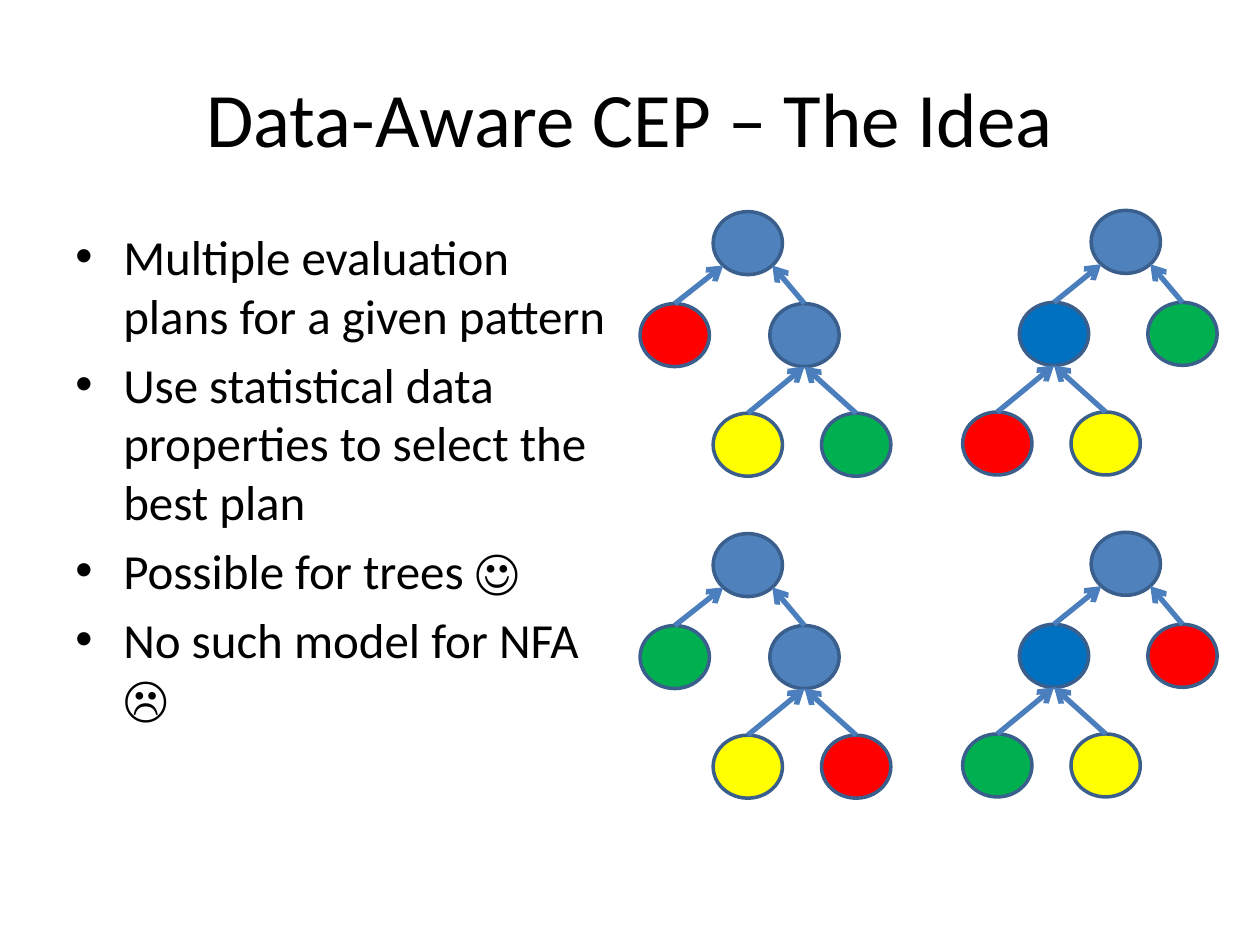
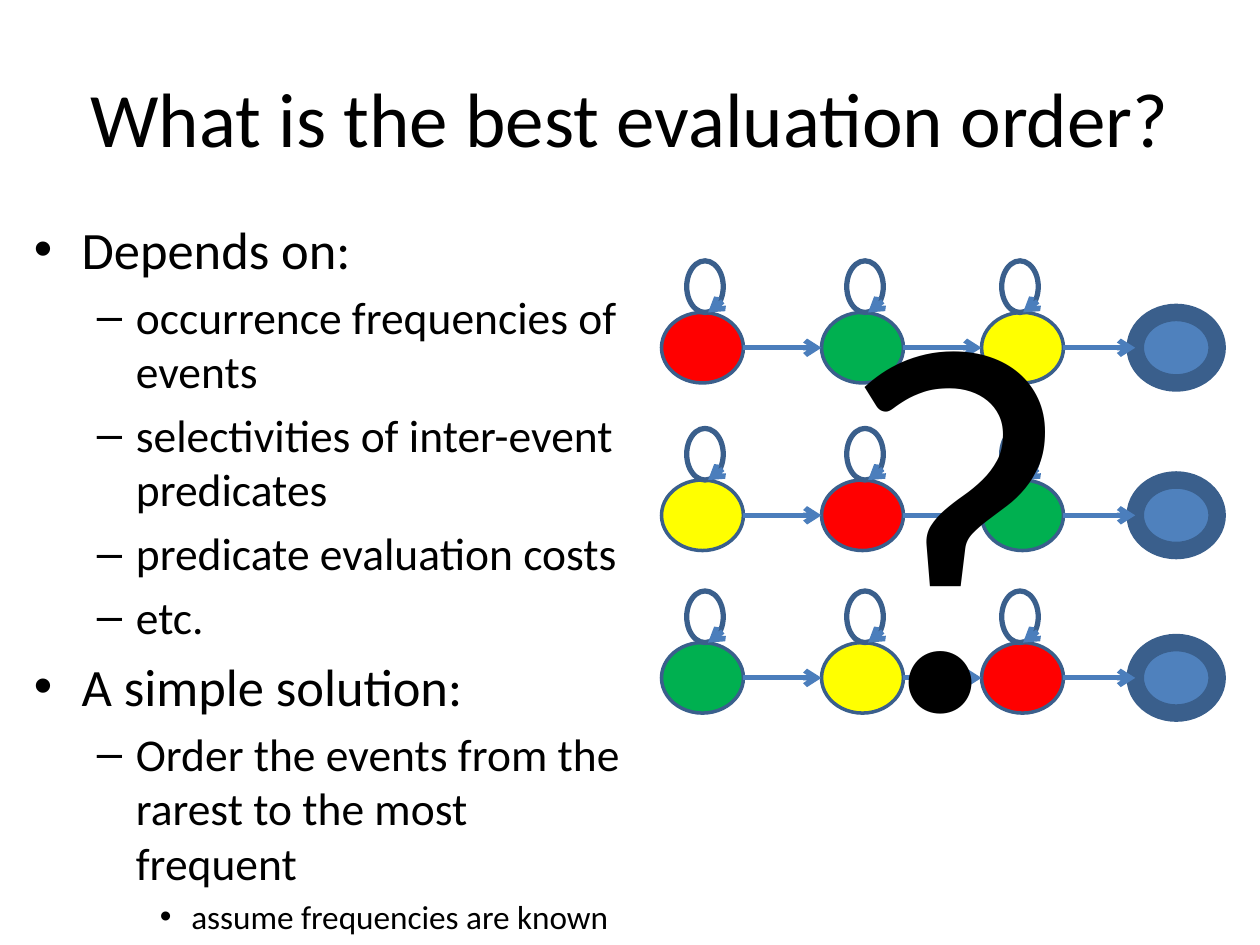
from dataclasses import dataclass

from lxml.etree import SubElement
from pptx import Presentation
from pptx.dml.color import RGBColor
from pptx.enum.shapes import MSO_CONNECTOR, MSO_SHAPE
from pptx.enum.text import MSO_ANCHOR, PP_ALIGN
from pptx.oxml.ns import qn
from pptx.util import Inches, Pt

# Content
PLANS_TITLE = "Data-Aware CEP – The Idea"
PLANS_BULLETS = [
    (0, "Multiple evaluation plans for a given pattern"),
    (0, "Use statistical data properties to select the best plan"),
    (0, "Possible for trees ☺"),
    (0, "No such model for NFA ☹"),
]
# Each tree: (grid row, side, colour beside the inner node, colours below it)
TREES = [
    (0, "left", "red", ("yellow", "green")),
    (0, "right", "green", ("red", "yellow")),
    (1, "left", "green", ("yellow", "red")),
    (1, "right", "red", ("green", "yellow")),
]

ORDER_TITLE = "What is the best evaluation order?"
ORDER_BULLETS = [
    (0, "Depends on:"),
    (1, "occurrence frequencies of events"),
    (1, "selectivities of inter-event predicates"),
    (1, "predicate evaluation costs"),
    (1, "etc."),
    (0, "A simple solution:"),
    (1, "Order the events from the rarest to the most frequent"),
    (2, "assume frequencies are known"),
]
# Each chain: (top of its states, state colours in evaluation order)
CHAINS = [
    (2.48, ("red", "green", "yellow")),
    (3.81, ("yellow", "red", "green")),
    (5.10, ("green", "yellow", "red")),
]


@dataclass(frozen=True)
class Theme:
    font: str = "Calibri"
    bullet_font: str = "Arial"
    text: str = "000000"
    outline: str = "3A5F8C"
    arrow: str = "4B7EBC"
    node: str = "4F81BD"
    deep_node: str = "0070C0"
    red: str = "FF0000"
    yellow: str = "FFFF00"
    green: str = "00B050"
    title_size: int = 44
    plans_sizes: tuple = (28,)
    order_sizes: tuple = (30, 26, 19)
    question_size: int = 300
    thin: int = 2
    medium: int = 3
    thick: int = 10


THEME = Theme()
WIDTH, HEIGHT = 10, 7.5
TITLE_BOX = (0.05 * WIDTH, 0.04 * HEIGHT, 0.9 * WIDTH, HEIGHT / 6)
PLANS_BOX = (0.5, 1.75, 4.42, 5.5)
ORDER_BOX = (0.17, 1.67, 4.92, 5.67)
QUESTION_BOX = (6.52, 1.42, 1.87, 5.23)

# Bullet levels: (left margin, hanging indent, character)
LEVELS = [(0.38, -0.38, "•"), (0.81, -0.31, "–"), (1.25, -0.25, "•")]

# Trees, measured from the inner node
TREE_NODE = (0.55, 0.5)
TREE_ROW_STEP = 2.555
INNER_NODE = {"left": (6.11, 2.41), "right": (8.09, 2.4)}
ROOT_OFFSET = {"left": (-0.45, -0.73), "right": (0.57, -0.73)}
SIBLING_OFFSET = {"left": -1.03, "right": 1.02}
LEAF_OFFSETS = [(-0.45, 0.87), (0.41, 0.87)]
DIAGONAL = 0.354  # share of an ellipse's size from centre to its 45° point

# Chains of states
STATE = (0.65, 0.56)
STATE_LEFTS = [5.25, 6.52, 7.79, 9.01]
LOOP = (0.29, 0.41)
LOOP_LEFTS = [5.45, 6.72, 7.95]


def color(value):
    return RGBColor.from_string(value)


def add_text(slide, text, box, *, sizes, align=PP_ALIGN.LEFT,
             anchor=MSO_ANCHOR.TOP, bullets=False):
    """Add a text box; text is a string or a list of (level, string)."""
    items = [(0, text)] if isinstance(text, str) else text
    frame = slide.shapes.add_textbox(*map(Inches, box)).text_frame
    frame.word_wrap = True
    frame.vertical_anchor = anchor
    for index, (level, content) in enumerate(items):
        paragraph = frame.add_paragraph() if index else frame.paragraphs[0]
        paragraph.alignment = align
        run = paragraph.add_run()
        run.text = content
        run.font.name = THEME.font
        run.font.size = Pt(sizes[level])
        run.font.color.rgb = color(THEME.text)
        if bullets:
            paragraph.level = level
            paragraph.space_before = Pt(0.2 * sizes[level])
            set_bullet(paragraph, *LEVELS[level])


def set_bullet(paragraph, margin, indent, character):
    properties = paragraph._p.get_or_add_pPr()
    properties.set("marL", str(Inches(margin)))
    properties.set("indent", str(Inches(indent)))
    SubElement(properties, qn("a:buFont")).set("typeface", THEME.bullet_font)
    SubElement(properties, qn("a:buChar")).set("char", character)


def add_ellipse(slide, position, size, fill=None, line_width=THEME.thin):
    shape = slide.shapes.add_shape(
        MSO_SHAPE.OVAL, *map(Inches, (*position, *size)))
    shape.shadow.inherit = False
    if fill:
        shape.fill.solid()
        shape.fill.fore_color.rgb = color(fill)
    else:
        shape.fill.background()
    shape.line.color.rgb = color(THEME.outline)
    shape.line.width = Pt(line_width)


def add_arrow(slide, start, end):
    connector = slide.shapes.add_connector(
        MSO_CONNECTOR.STRAIGHT, *map(Inches, (*start, *end)))
    connector.line.color.rgb = color(THEME.arrow)
    connector.line.width = Pt(THEME.medium)
    SubElement(connector.line._get_or_add_ln(),
               qn("a:tailEnd")).set("type", "arrow")
    SubElement(connector._element.spPr, qn("a:effectLst"))


def node_point(position, across, down):
    """Point of a tree node, as shares of its size from the top left."""
    return (position[0] + across * TREE_NODE[0],
            position[1] + down * TREE_NODE[1])


def add_tree(slide, row, side, sibling_color, leaf_colors):
    left, top = INNER_NODE[side]
    inner = (left, top + row * TREE_ROW_STEP)
    root = (inner[0] + ROOT_OFFSET[side][0], inner[1] + ROOT_OFFSET[side][1])
    sibling = (inner[0] + SIBLING_OFFSET[side], inner[1])
    leaves = [(inner[0] + x, inner[1] + y) for x, y in LEAF_OFFSETS]

    inner_color = THEME.node if side == "left" else THEME.deep_node
    add_ellipse(slide, root, TREE_NODE, THEME.node)
    add_ellipse(slide, inner, TREE_NODE, inner_color)
    add_ellipse(slide, sibling, TREE_NODE, getattr(THEME, sibling_color))
    for leaf, name in zip(leaves, leaf_colors):
        add_ellipse(slide, leaf, TREE_NODE, getattr(THEME, name))
        add_arrow(slide, node_point(leaf, 0.5, 0), node_point(inner, 0.5, 1))
    for child, turn in zip(sorted([inner, sibling]), (-1, 1)):
        add_arrow(slide, node_point(child, 0.5, 0),
                  node_point(root, 0.5 + turn * DIAGONAL, 0.5 + DIAGONAL))


def add_chain(slide, top, names):
    width, height = STATE
    for left, name in zip(STATE_LEFTS, names):
        add_ellipse(slide, (left, top), STATE, getattr(THEME, name))
    add_ellipse(slide, (STATE_LEFTS[-1], top), STATE, THEME.node, THEME.thick)
    middle = top + height / 2
    for left, following in zip(STATE_LEFTS, STATE_LEFTS[1:]):
        add_arrow(slide, (left + width, middle), (following, middle))
    for left in LOOP_LEFTS:
        add_ellipse(slide, (left, top - LOOP[1]), LOOP,
                    line_width=THEME.medium)
        add_arrow(slide, (left + 0.25, top - 0.06), (left + 0.17, top))


def add_slide(presentation, title, bullets, box, sizes):
    slide = presentation.slides.add_slide(presentation.slide_layouts[6])
    add_text(slide, title, TITLE_BOX, sizes=(THEME.title_size,),
             align=PP_ALIGN.CENTER, anchor=MSO_ANCHOR.MIDDLE)
    add_text(slide, bullets, box, sizes=sizes, bullets=True)
    return slide


def main():
    presentation = Presentation()
    presentation.slide_width = Inches(WIDTH)
    presentation.slide_height = Inches(HEIGHT)

    plans = add_slide(presentation, PLANS_TITLE, PLANS_BULLETS,
                      PLANS_BOX, THEME.plans_sizes)
    for tree in TREES:
        add_tree(plans, *tree)

    order = add_slide(presentation, ORDER_TITLE, ORDER_BULLETS,
                      ORDER_BOX, THEME.order_sizes)
    for chain in CHAINS:
        add_chain(order, *chain)
    add_text(order, "?", QUESTION_BOX, sizes=(THEME.question_size,))

    presentation.save("out.pptx")


if __name__ == "__main__":
    main()
